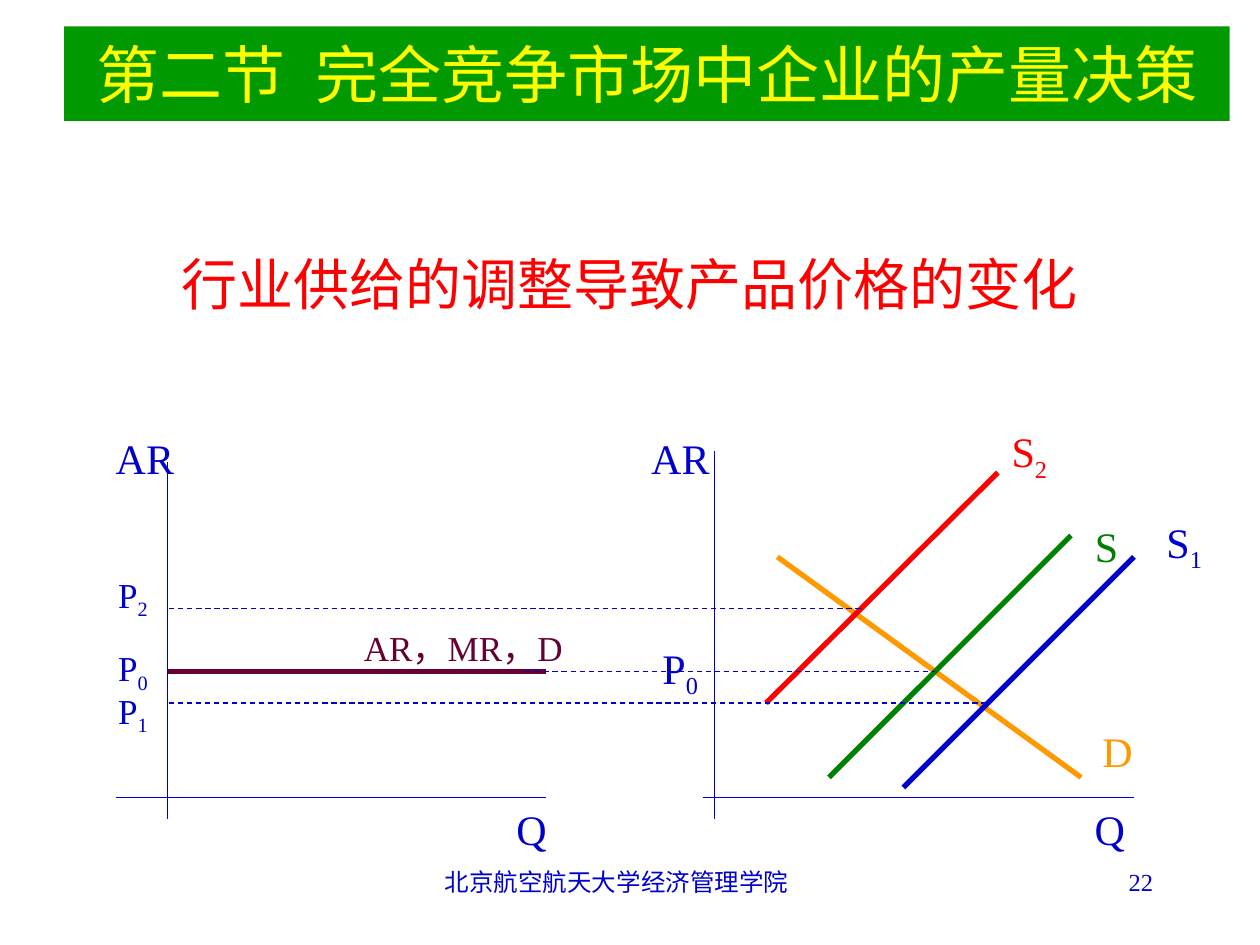
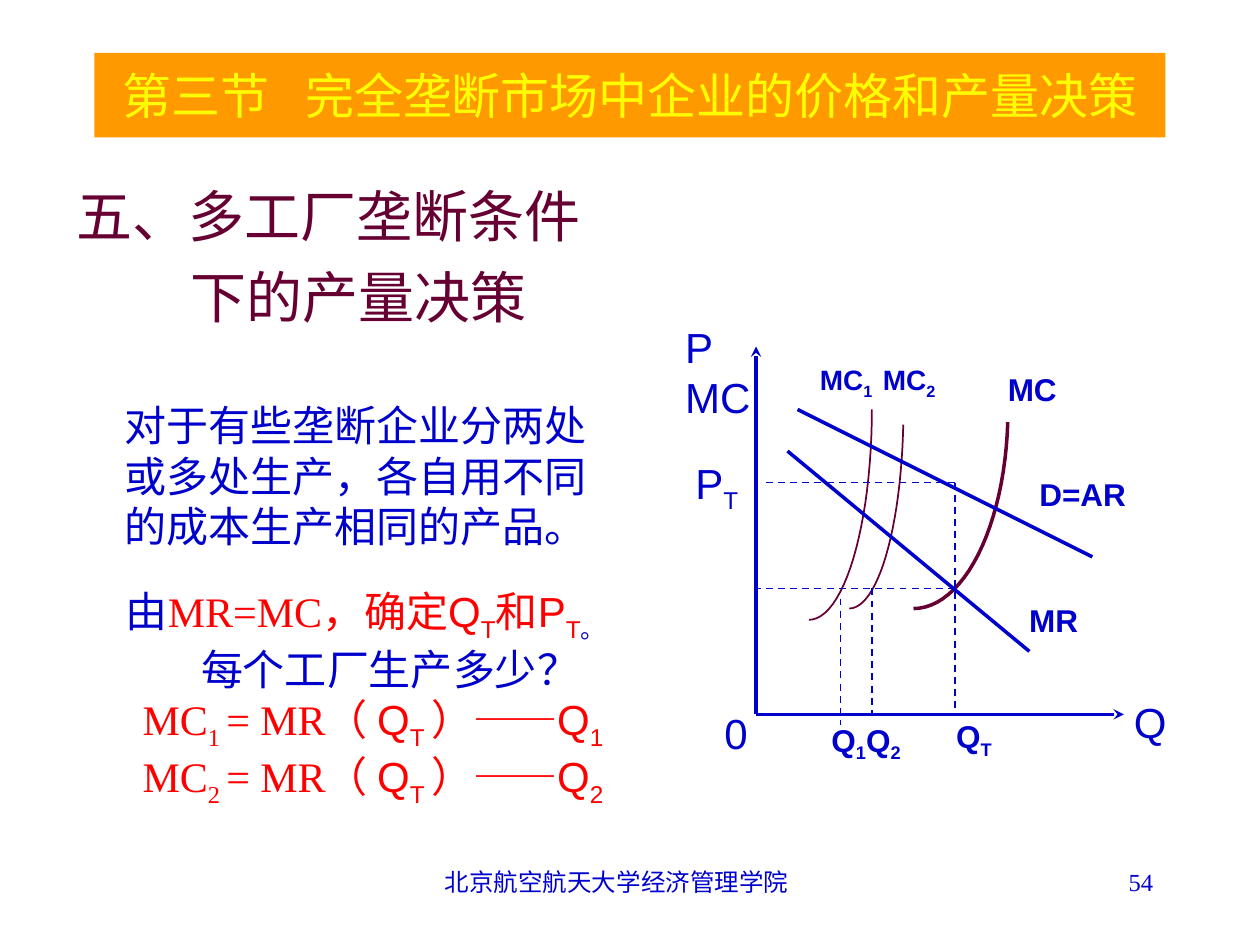
"""Two economics slides: competitive supply shifts and multi-plant monopoly."""
import math

from lxml import etree
from pptx import Presentation
from pptx.dml.color import RGBColor
from pptx.enum.dml import MSO_LINE
from pptx.enum.shapes import MSO_CONNECTOR, MSO_SHAPE
from pptx.enum.text import MSO_ANCHOR, PP_ALIGN
from pptx.oxml.ns import qn
from pptx.util import Inches, Pt

BLUE = RGBColor(0x00, 0x00, 0xCC)
RED = RGBColor(0xFF, 0x00, 0x00)
GREEN = RGBColor(0x00, 0x80, 0x00)
BAND_GREEN = RGBColor(0x00, 0x99, 0x00)
ORANGE = RGBColor(0xFF, 0x99, 0x00)
PLUM = RGBColor(0x66, 0x00, 0x33)
YELLOW = RGBColor(0xFF, 0xFF, 0x00)
WHITE = RGBColor(0xFF, 0xFF, 0xFF)

SERIF = "Times New Roman"
SANS = "Arial"
LEFT, CENTER, RIGHT = PP_ALIGN.LEFT, PP_ALIGN.CENTER, PP_ALIGN.RIGHT
TOP, MIDDLE = MSO_ANCHOR.TOP, MSO_ANCHOR.MIDDLE
DASH = MSO_LINE.DASH
RECTANGLE = MSO_SHAPE.RECTANGLE
STRAIGHT = MSO_CONNECTOR.STRAIGHT
FOOTER = "北京航空航天大学经济管理学院"
CURVE_STEPS = 24


def apply_format(target, values):
    """Set each named attribute of the target."""
    for name, value in values.items():
        setattr(target, name, value)


def add_spans(para, text, size, color, font=SERIF, bold=False):
    """Add text whose parts between bars alternate normal and subscript."""
    for index, part in enumerate(text.split("|")):
        if part:
            span = para.add_run()
            span.text = part
            apply_format(span.font, {"name": font, "size": Pt(size), "bold": bold})
            span.font.color.rgb = color
            if index % 2:
                span.font._element.set("baseline", "-25000")


def format_para(para, align=LEFT, indent=0, before=0):
    """Set the alignment, left indent and space before of a paragraph."""
    apply_format(para, {"alignment": align, "space_before": Pt(before)})
    if indent:
        para._p.get_or_add_pPr().set("marL", str(Inches(indent)))


def next_para(frame):
    """Return the empty first paragraph, or a new one after the text."""
    first = frame.paragraphs[0]
    return frame.add_paragraph() if first.runs else first


def add_box(page, left, top, width, height, fill=None, anchor=TOP, wrap=True):
    """Add a text box, or a filled rectangle, and return its text frame."""
    place = [Inches(length) for length in (left, top, width, height)]
    if fill is None:
        box = page.shapes.add_textbox(*place)
    else:
        box = page.shapes.add_shape(RECTANGLE, *place)
        box.shadow.inherit = False
        box.fill.solid()
        box.fill.fore_color.rgb = fill
        box.line.fill.background()
    apply_format(box.text_frame, {"word_wrap": wrap, "vertical_anchor": anchor})
    return box.text_frame


def add_text(page, place, text, size, color, align=LEFT, **box_format):
    """Add a box holding one paragraph."""
    para = next_para(add_box(page, *place, **box_format))
    format_para(para, align)
    add_spans(para, text, size, color)


def add_title(page, place, section, topic, gap, size, fill):
    """Add a title band with a space widened by gap points after the section."""
    para = next_para(add_box(page, *place, fill=fill, anchor=MIDDLE))
    format_para(para, CENTER)
    for text in (section, " ", topic):
        add_spans(para, text, size, YELLOW)
    para.runs[1].font._element.set("spc", str(gap * 100))


def add_label(page, left, top, width, text, size, color=BLUE, font=SERIF, bold=False):
    """Add an unwrapped diagram label, one paragraph for each line."""
    frame = add_box(page, left, top, width, 0.5, wrap=False)
    for line in text.split("\n"):
        para = next_para(frame)
        format_para(para)
        add_spans(para, line, size, color, font, bold)


def add_line(page, start, end, color, width, dash=None, arrow=False):
    """Add a straight line, dashed or with an arrowhead at its end."""
    points = [Inches(length) for length in (*start, *end)]
    connector = page.shapes.add_connector(STRAIGHT, *points)
    connector.line.color.rgb = color
    apply_format(connector.line, {"width": Pt(width), "dash_style": dash})
    properties = connector._element.spPr
    if arrow:
        outline = properties.find(qn("a:ln"))
        etree.SubElement(outline, qn("a:tailEnd"), type="stealth")
    etree.SubElement(properties, qn("a:effectLst"))


def add_cost_curve(page, left, radius_x, radius_y, first_y, width):
    """Add a quarter ellipse falling from first_y to the left."""
    center_y = 3.25
    start = math.asin((first_y - center_y) / radius_y)
    points = []
    for step in range(CURVE_STEPS + 1):
        angle = start + (math.pi / 2 - start) * step / CURVE_STEPS
        points.append((Inches(left + radius_x * math.cos(angle)),
                       Inches(center_y + radius_y * math.sin(angle))))
    builder = page.shapes.build_freeform(*points[0])
    builder.add_line_segments(points[1:], close=False)
    curve = builder.convert_to_shape()
    curve.shadow.inherit = False
    curve.fill.background()
    curve.line.color.rgb = PLUM
    curve.line.width = Pt(width)


def add_page(deck, number):
    """Add a page with its footer and number."""
    page = deck.slides.add_slide(deck.slide_layouts[6])
    add_text(page, (3.31, 6.83, 3.17, 0.5), FOOTER, 14, BLUE, CENTER)
    add_text(page, (7.17, 6.83, 2.08, 0.5), str(number), 14, BLUE, RIGHT)
    return page


def build_supply_page(deck):
    """Show how supply shifts change the market price."""
    page = add_page(deck, 22)
    add_title(page, (0.51, 0.21, 9.25, 0.75), "第二节", "完全竞争市场中企业的产量决策",
              9, 36, BAND_GREEN)
    add_text(page, (0.75, 1.9, 8.5, 0.7), "行业供给的调整导致产品价格的变化",
             32, RED, CENTER, anchor=MIDDLE)

    for axis_x, axis_top, base_left, base_right in (
            (1.33, 3.67, 0.92, 4.33), (5.67, 3.58, 5.58, 9)):
        add_line(page, (axis_x, axis_top), (axis_x, 6.5), BLUE, 0.75)
        add_line(page, (base_left, 6.33), (base_right, 6.33), BLUE, 0.75)

    for start, end, color in (
            ((1.33, 5.33), (4.33, 5.33), PLUM),
            ((6.17, 4.42), (8.58, 6.17), ORANGE),
            ((6.58, 6.17), (8.5, 4.25), GREEN),
            ((9, 4.42), (7.17, 6.25), BLUE),
            ((7.92, 3.75), (6.08, 5.58), RED)):
        add_line(page, start, end, color, 3)

    for start_x, end_x, price_y in (
            (4.17, 7.42, 5.33), (7.83, 1.33, 5.58), (6.83, 1.33, 4.83)):
        add_line(page, (start_x, price_y), (end_x, price_y), BLUE, 0.75, DASH)

    for left, top, width, text, size, color in (
            (2.79, 4.92, 2.04, "AR，MR，D", 20, PLUM),
            (0.82, 3.38, 0.66, "AR", 24, BLUE),
            (5.07, 3.38, 0.66, "AR", 24, BLUE),
            (8.59, 6.33, 0.44, "Q", 24, BLUE),
            (4, 6.33, 0.44, "Q", 24, BLUE),
            (5.16, 5.05, 0.6, "P|0", 24, BLUE),
            (0.84, 5.08, 0.6, "P|0", 20, BLUE),
            (0.84, 5.42, 0.6, "P|1", 20, BLUE),
            (0.84, 4.5, 0.6, "P|2", 20, BLUE),
            (8.65, 5.71, 0.44, "D", 24, ORANGE),
            (8.59, 4.08, 0.38, "S", 24, GREEN),
            (9.16, 4.05, 0.6, "S|1", 24, BLUE),
            (7.93, 3.33, 0.6, "S|2", 24, RED)):
        add_label(page, left, top, width, text, size, color)


def add_plant_diagram(page):
    """Draw demand, marginal revenue and the plants' cost curves."""
    origin = (6, 5.67)
    for tip in ((6, 2.75), (8.92, 5.67)):
        add_line(page, origin, tip, BLUE, 2, arrow=True)
    add_cost_curve(page, 6.42, 0.5, 1.67, 3.25, 1)
    add_cost_curve(page, 6.74, 0.43, 1.58, 3.37, 1)
    add_cost_curve(page, 7.25, 0.75, 1.58, 3.35, 2)
    add_line(page, (6.33, 3.25), (8.67, 4.42), BLUE, 2)
    add_line(page, (6.25, 3.58), (8.17, 5.17), BLUE, 2)
    for start, end in (
            ((7.58, 3.83), (7.58, 5.67)), ((7.58, 3.83), (6.08, 3.83)),
            ((7.58, 4.67), (6, 4.67)), ((6.67, 4.75), (6.67, 5.75)),
            ((6.92, 4.67), (6.92, 5.67))):
        add_line(page, start, end, BLUE, 1, DASH)

    for left, top, width, text, size in (
            (6.41, 2.83, 0.7, "MC|1", 16),
            (6.91, 2.83, 0.7, "MC|2", 16),
            (7.9, 2.89, 0.65, "MC", 18),
            (8.15, 3.72, 0.95, "D=AR", 18),
            (8.07, 4.72, 0.65, "MR", 18),
            (7.49, 5.64, 0.6, "Q|T", 18),
            (6.5, 5.67, 0.93, "Q|1|Q|2", 18)):
        add_label(page, left, top, width, text, size, font=SANS, bold=True)
    for left, top, width, text in (
            (5.34, 2.5, 0.8, "P\nMC"), (8.9, 5.48, 0.5, "Q"),
            (5.65, 5.57, 0.39, "0"), (5.42, 3.58, 0.67, "P|T")):
        add_label(page, left, top, width, text, 24, font=SANS)


def build_monopoly_page(deck):
    """Explain how a monopoly splits output among its plants."""
    page = add_page(deck, 54)
    add_title(page, (0.75, 0.42, 8.5, 0.67), "第三节", "完全垄断市场中企业的价格和产量决策",
              14, 28, ORANGE)
    add_plant_diagram(page)

    frame = add_box(page, 0.51, 1.39, 4.42, 2.58, fill=WHITE)
    for text, size, color, indent, before in (
            ("五、多工厂垄断条件", 32, PLUM, 0, 0),
            ("下的产量决策", 32, PLUM, 0.9, 8),
            ("对于有些垄断企业分两处或多处生产，各自用不同的成本生产相同的产品。",
             24, BLUE, 0.38, 40)):
        para = next_para(frame)
        format_para(para, LEFT, indent, before)
        add_spans(para, text, size, color)

    rules = [
        (0.21, [("由", BLUE, SERIF), ("MR=MC，确定", RED, SERIF),
                ("Q|T|和P|T", RED, SANS), ("|。", BLUE, SANS)]),
        (0.6, [("每个工厂生产多少？", BLUE, SANS)])]
    for plant in "12":
        rules.append((0.33, [(f"MC|{plant} |= MR（ ", RED, SERIF), ("Q|T ", RED, SANS),
                             ("）——", RED, SERIF), (f"Q|{plant}", RED, SANS)]))
    frame = add_box(page, 0.42, 4.6, 4.75, 1.87)
    for indent, spans in rules:
        para = next_para(frame)
        format_para(para, CENTER, indent)
        for text, color, font in spans:
            add_spans(para, text, 24, color, font)


def main():
    """Build and save the deck."""
    deck = Presentation()
    apply_format(deck, {"slide_width": Inches(10), "slide_height": Inches(7.5)})
    build_supply_page(deck)
    build_monopoly_page(deck)
    deck.save("out.pptx")


if __name__ == "__main__":
    main()
